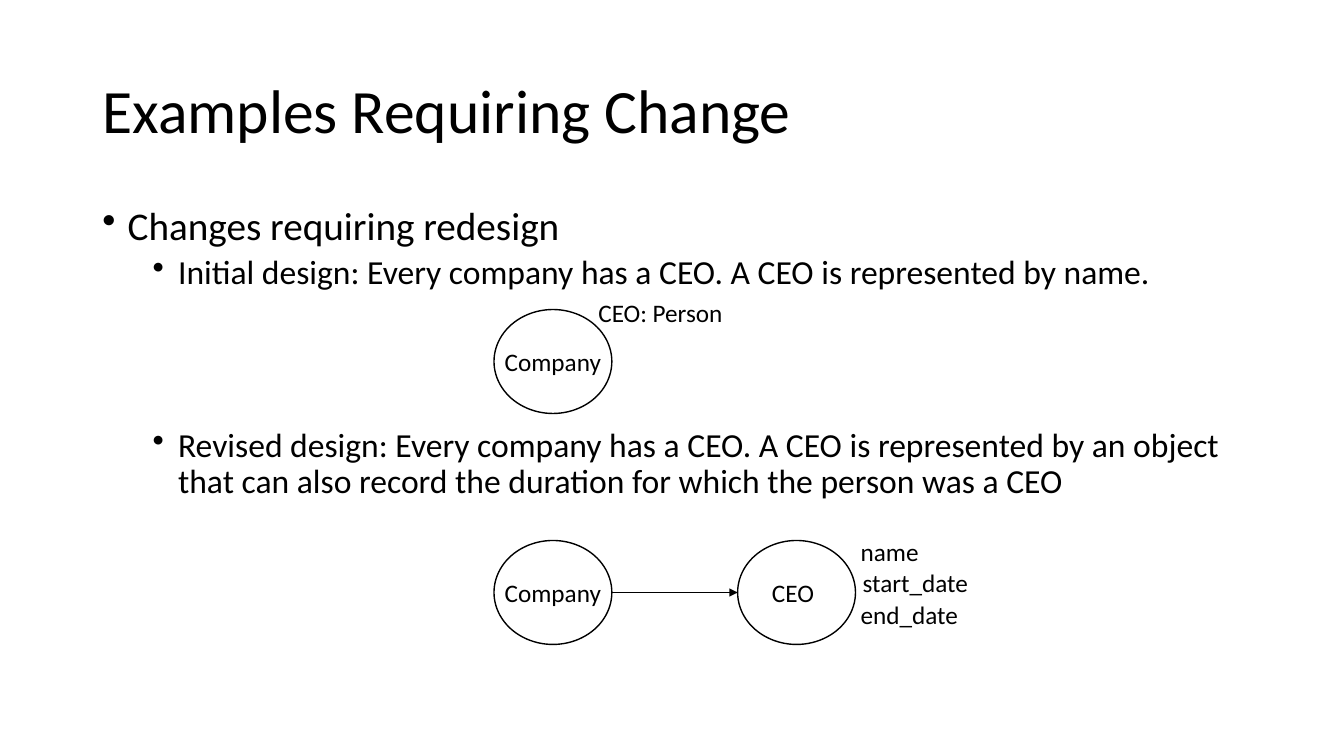
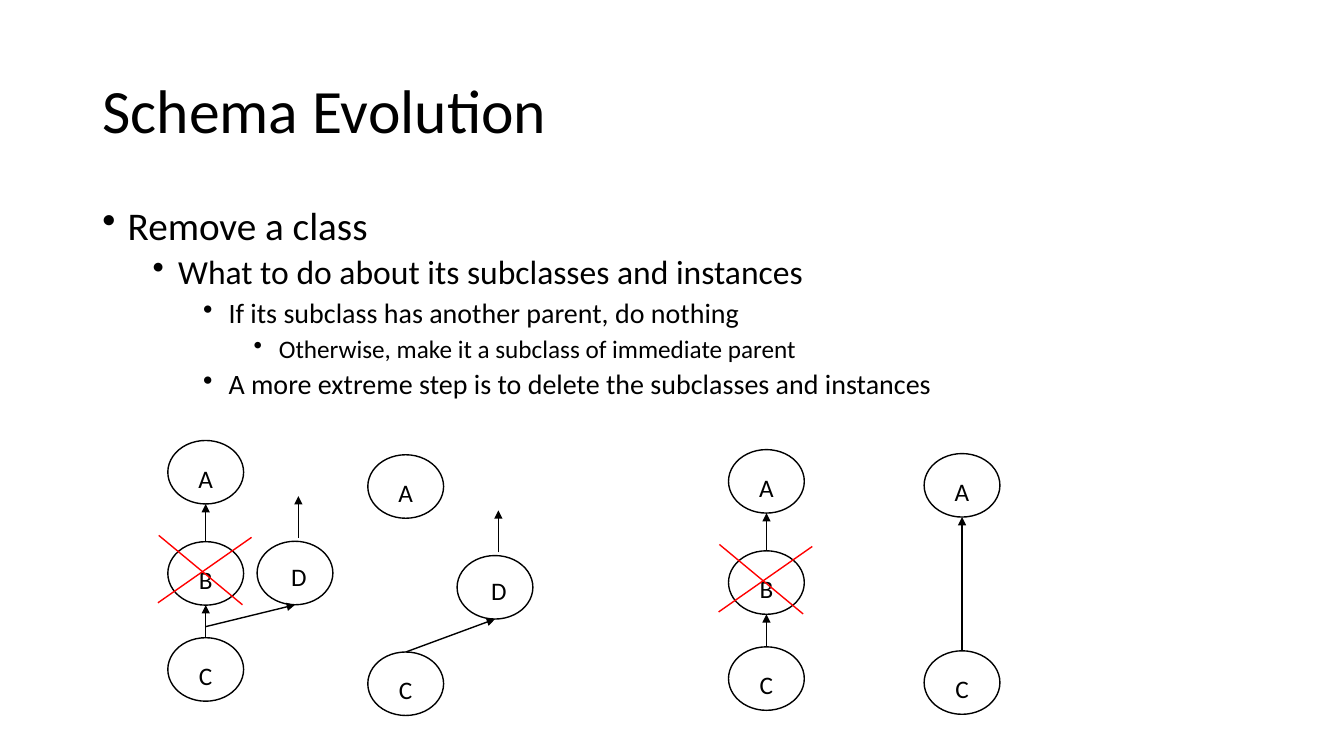
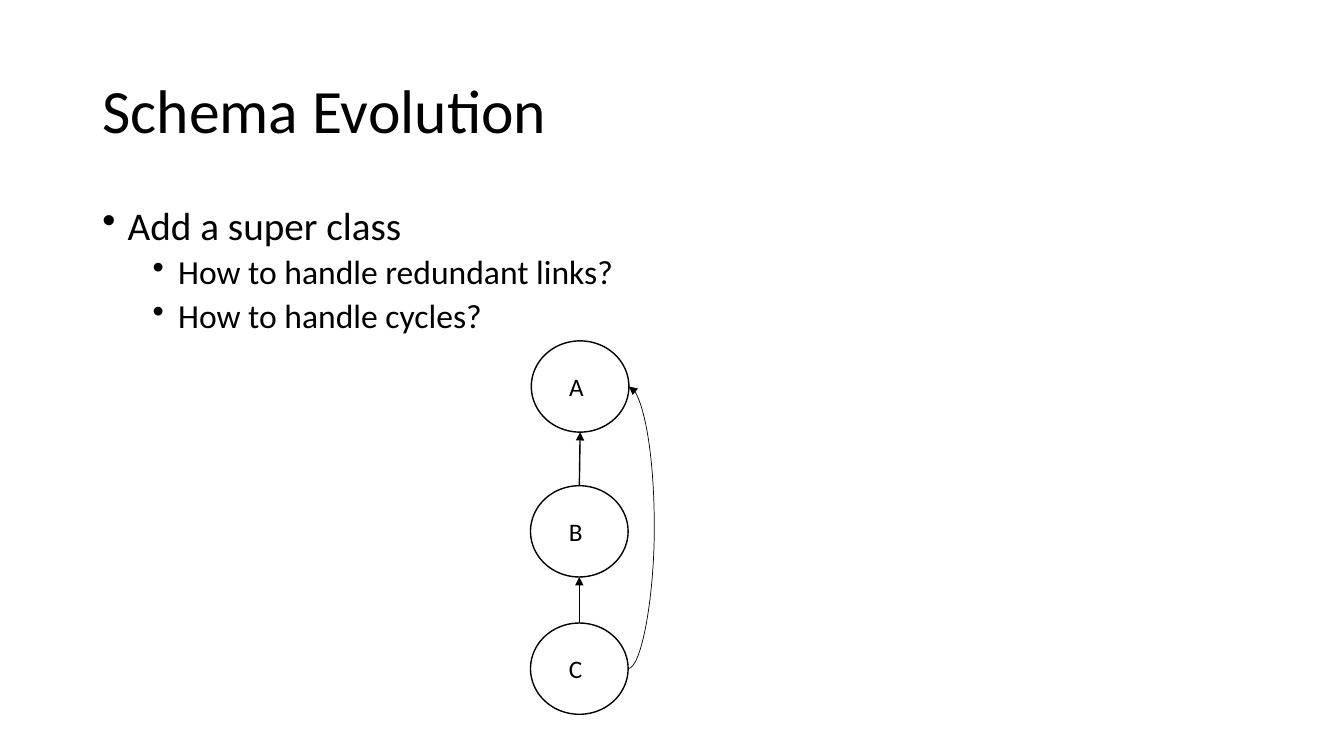
"""Build three slides on schema changes and schema evolution."""
import lxml.etree
import pptx
import pptx.dml.color
import pptx.enum.shapes
import pptx.enum.text
import pptx.oxml.ns
import pptx.util

Cm = pptx.util.Cm
Pt = pptx.util.Pt
qn = pptx.oxml.ns.qn

COLORS = {"ink": "000000", "cross": "FF0000"}
LEVEL_SIZES = [28, 24, 20, 18]
FAMILY_SPOTS = {"A": (0, 0), "B": (0, 2.55), "C": (0, 4.97), "D": (2.25, 2.54)}


class Slides:
    font = "Calibri"

    def __init__(self):
        self.deck = pptx.Presentation()
        self.deck.slide_width = Cm(33.87)
        self.deck.slide_height = Cm(19.05)
        self.page = None

    def color(self, name):
        return pptx.dml.color.RGBColor.from_string(COLORS[name])

    def style(self, para, size):
        para.font.name = self.font
        para.font.size = Pt(size)
        para.font.color.rgb = self.color("ink")

    def start(self, title):
        self.page = self.deck.slides.add_slide(self.deck.slide_layouts[5])
        box = self.page.shapes.title
        box.left, box.top, box.width, box.height = Cm(2.33), Cm(1.02), Cm(29.21), Cm(3.68)
        frame = box.text_frame
        frame.text = title
        frame.word_wrap = True
        frame.vertical_anchor = pptx.enum.text.MSO_ANCHOR.MIDDLE
        para = frame.paragraphs[0]
        para.alignment = pptx.enum.text.PP_ALIGN.LEFT
        para.line_spacing = 0.9
        self.style(para, 44)

    def text_box(self, left, top, width, height):
        box = self.page.shapes.add_textbox(Cm(left), Cm(top), Cm(width), Cm(height))
        box.text_frame.word_wrap = True
        return box.text_frame

    def bullets(self, items):
        frame = self.text_box(2.33, 5.08, 29.21, 12.09)
        for index, (level, text, *space) in enumerate(items):
            para = frame.add_paragraph() if index else frame.paragraphs[0]
            para.text = text
            para.level = level
            para.line_spacing = 0.9
            if index:
                para.space_before = Pt(space[0] if space else 5)
            props = para._p.get_or_add_pPr()
            props.set("marL", str(Cm(0.64 + 1.27 * level)))
            props.set("indent", str(-Cm(0.64)))
            lxml.etree.SubElement(props, qn("a:buChar")).set("char", "•")
            self.style(para, LEVEL_SIZES[level])

    def label(self, text, left, top):
        para = self.text_box(left, top, 4, 1.02).paragraphs[0]
        para.text = text
        self.style(para, 18)

    def node(self, text, left, top, width, height, shift=(0, 0)):
        oval = pptx.enum.shapes.MSO_SHAPE.OVAL
        shape = self.page.shapes.add_shape(oval, Cm(left), Cm(top), Cm(width), Cm(height))
        shape.shadow.inherit = False
        shape.fill.background()
        shape.line.color.rgb = self.color("ink")
        shape.line.width = Pt(1)
        frame = shape.text_frame
        frame.word_wrap = False
        frame.vertical_anchor = pptx.enum.text.MSO_ANCHOR.MIDDLE
        across, down = shift
        frame.margin_left, frame.margin_right = Cm(max(2 * across, 0)), Cm(max(-2 * across, 0))
        frame.margin_top, frame.margin_bottom = Cm(2 * down), 0
        para = frame.paragraphs[0]
        para.text = text
        para.alignment = pptx.enum.text.PP_ALIGN.CENTER
        self.style(para, 18)
        return shape

    def line(self, start, end, color="ink", arrow=True, width=1, bulge=None):
        kinds = pptx.enum.shapes.MSO_CONNECTOR
        kind = kinds.STRAIGHT if bulge is None else kinds.CURVE
        connector = self.page.shapes.add_connector(kind, *start, *end)
        connector.line.color.rgb = self.color(color)
        connector.line.width = Pt(width)
        props = connector.element.spPr
        if arrow:
            tail = lxml.etree.SubElement(props.find(qn("a:ln")), qn("a:tailEnd"))
            tail.set("type", "triangle")
        if bulge is not None:
            geometry = props.find(qn("a:prstGeom"))
            guides = geometry.find(qn("a:avLst"))
            if guides is None:
                guides = lxml.etree.SubElement(geometry, qn("a:avLst"))
            guide = lxml.etree.SubElement(guides, qn("a:gd"))
            guide.set("name", "adj1")
            guide.set("fmla", f"val {round(100000 * bulge / (end[0] - start[0]))}")
        lxml.etree.SubElement(props, qn("a:effectLst"))

    def link_up(self, child, parent, rise=0):
        start = (child.left + child.width // 2, child.top - Cm(rise))
        end = (parent.left + parent.width // 2, parent.top + parent.height)
        self.line(start, end)

    def family(self, left, top, names, links, rise=0):
        nodes = {}
        for name in names:
            across, down = FAMILY_SPOTS[name]
            shift = (0.1, 0.08) if name == "D" else (0, 0.15)
            nodes[name] = self.node(name, left + across, top + down, 1.91, 1.6, shift)
        for child, parent in links:
            self.link_up(nodes[child], nodes[parent], rise if parent == "D" else 0)
        if "D" in nodes:
            other = nodes["D"]
            center = other.left + Cm(1.04)
            self.line((center, other.top - Cm(0.08)), (center, other.top - Cm(1.14)))
        if "B" in nodes:
            for x1, y1, x2, y2 in [(-0.23, 2.39, 1.88, 4.14), (2.11, 2.44, -0.25, 4.09)]:
                start = (Cm(left + x1), Cm(top + y1))
                end = (Cm(left + x2), Cm(top + y2))
                self.line(start, end, "cross", arrow=False)


def redesign(slides):
    slides.start("Examples Requiring Change")
    slides.bullets([
        (0, "Changes requiring redesign"),
        (1, "Initial design: Every company has a CEO. A CEO is represented by name."),
        (1, "Revised design: Every company has a CEO. A CEO is represented by an object "
            "that can also record the duration for which the person was a CEO", 97.5),
    ])
    slides.node("Company", 12.45, 7.8, 2.97, 2.62)
    slides.label("CEO: Person", 14.83, 7.37)
    company = slides.node("Company", 12.45, 13.62, 2.97, 2.62)
    officer = slides.node("CEO", 18.59, 13.62, 2.97, 2.62, (-0.09, 0))
    middle = company.top + company.height // 2
    slides.line((company.left + company.width, middle), (officer.left, middle))
    fields = [("name", 21.44), ("start_date", 21.49), ("end_date", 21.44)]
    for row, (field, left) in enumerate(fields):
        slides.label(field, left, 13.39 + 0.79 * row)


def remove_class(slides):
    slides.start("Schema Evolution")
    slides.bullets([
        (0, "Remove a class"),
        (1, "What to do about its subclasses and instances"),
        (2, "If its subclass has another parent, do nothing"),
        (3, "Otherwise, make it a subclass of immediate parent"),
        (2, "A more extreme step is to delete the subclasses and instances"),
    ])
    slides.family(4.23, 11.1, "ABCD", ["BA", "CB", "CD"], rise=0.28)
    slides.family(9.27, 11.46, "ACD", ["CD"])
    slides.family(18.36, 11.33, "ABC", ["BA", "CB"])
    slides.family(23.29, 11.43, "AC", ["CA"])


def add_super_class(slides):
    slides.start("Schema Evolution")
    slides.bullets([
        (0, "Add a super class"),
        (1, "How to handle redundant links?"),
        (1, "How to handle cycles?"),
    ])
    spots = [("A", 13.39, 8.59), ("B", 13.37, 12.24), ("C", 13.37, 15.7)]
    top, middle, bottom = [
        slides.node(name, left, height, 2.46, 2.3, (-0.09, 0)) for name, left, height in spots
    ]
    slides.link_up(middle, top)
    slides.link_up(bottom, middle)
    start, end = [
        (node.left + node.width, node.top + node.height // 2) for node in (bottom, top)
    ]
    slides.line(start, end, width=0.5, bulge=Cm(0.66))


def main():
    slides = Slides()
    redesign(slides)
    remove_class(slides)
    add_super_class(slides)
    slides.deck.save("out.pptx")


if __name__ == "__main__":
    main()
